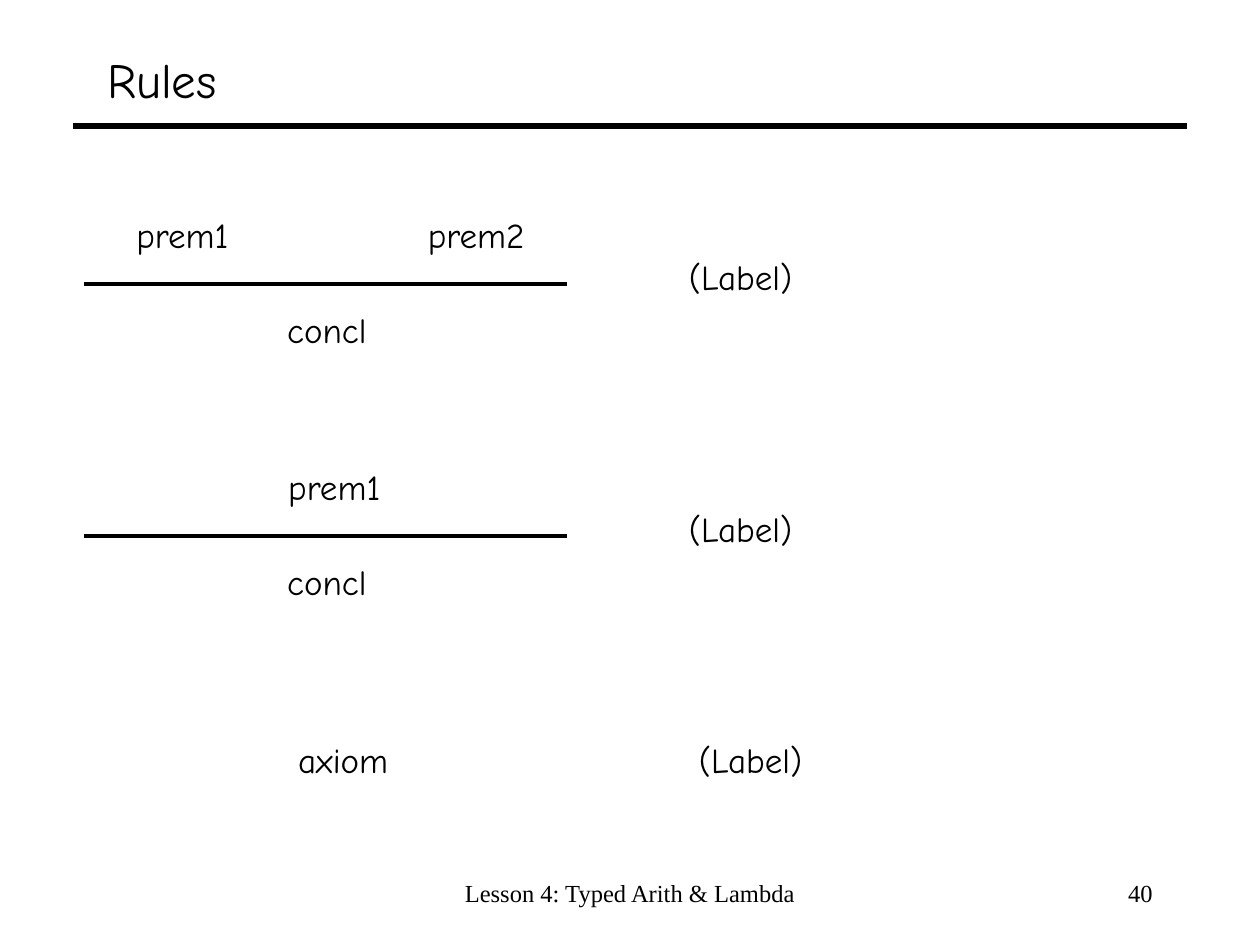
from pptx import Presentation
from pptx.dml.color import RGBColor
from pptx.enum.shapes import MSO_CONNECTOR
from pptx.enum.text import MSO_ANCHOR, MSO_AUTO_SIZE, PP_ALIGN
from pptx.oxml.ns import qn
from pptx.util import Cm, Pt
from lxml import etree

LEFT, CENTER, RIGHT = PP_ALIGN.LEFT, PP_ALIGN.CENTER, PP_ALIGN.RIGHT
TOP, MIDDLE = MSO_ANCHOR.TOP, MSO_ANCHOR.MIDDLE
FIT, FIXED = MSO_AUTO_SIZE.SHAPE_TO_FIT_TEXT, MSO_AUTO_SIZE.NONE
STRAIGHT = MSO_CONNECTOR.STRAIGHT


def color(value):
    return RGBColor.from_string(value)


class Deck:
    """Style and drawing methods for the inference rules slide."""

    ink = "000000"
    hand = "Comic Neue"
    serif = "Times New Roman"
    term_height = 1.12

    def __init__(self, prs):
        self.s = prs.slides.add_slide(prs.slide_layouts[6])

    def text(self, text, x, y, w, h, size, font, align=LEFT, anchor=TOP, wrap=True):
        sp = self.s.shapes.add_textbox(Cm(x), Cm(y), Cm(w), Cm(h))
        tf = sp.text_frame
        tf.text = text
        tf.word_wrap = wrap
        tf.auto_size = FIXED if wrap else FIT
        tf.vertical_anchor = anchor
        p = tf.paragraphs[0]
        p.alignment = align
        r = p.runs[0]
        r.font.size = Pt(size)
        r.font.name = font
        r.font.color.rgb = color(self.ink)

    def term(self, text, x, y, w, align=LEFT):
        self.text(text, x, y, w, self.term_height, 20, self.hand, align, wrap=False)

    def line(self, x1, x2, y, weight):
        c = self.s.shapes.add_connector(STRAIGHT, Cm(x1), Cm(y), Cm(x2), Cm(y))
        c.line.color.rgb = color(self.ink)
        c.line.width = Pt(weight)
        etree.SubElement(c._element.spPr, qn("a:effectLst"))

    def title(self, text):
        self.text(text, 1.91, 0.64, 21.59, 1.9, 28, self.hand, anchor=MIDDLE)
        self.line(1.48, 23.92, 2.54, 3)

    def footer(self, text, x, w, align):
        self.text(text, x, 17.58, w, 1.06, 14, self.serif, align)

    def rule(self, y, premises):
        for text, x, w in premises:
            self.term(text, x, y - 1.54, w, CENTER)
        self.term("concl", 5.54, y + 0.38, 2.14)
        self.term("(Label)", 13.64, y - 0.69, 2.62)
        self.line(1.7, 11.43, y, 2.25)

    def axiom(self, y):
        self.term("axiom", 5.76, y, 2.4)
        self.term("(Label)", 13.84, y, 2.62)


def main():
    prs = Presentation()
    prs.slide_width, prs.slide_height = Cm(25.4), Cm(19.05)
    deck = Deck(prs)
    deck.title("Rules")
    deck.rule(5.72, [("prem1", 2.47, 2.42), ("prem2", 8.35, 2.5)])
    deck.rule(10.8, [("prem1", 5.53, 2.42)])
    deck.axiom(14.76)
    deck.footer("Lesson 4: Typed Arith & Lambda", 8.68, 8.04, CENTER)
    deck.footer("40", 18.2, 5.29, RIGHT)
    prs.save("out.pptx")


if __name__ == "__main__":
    main()
